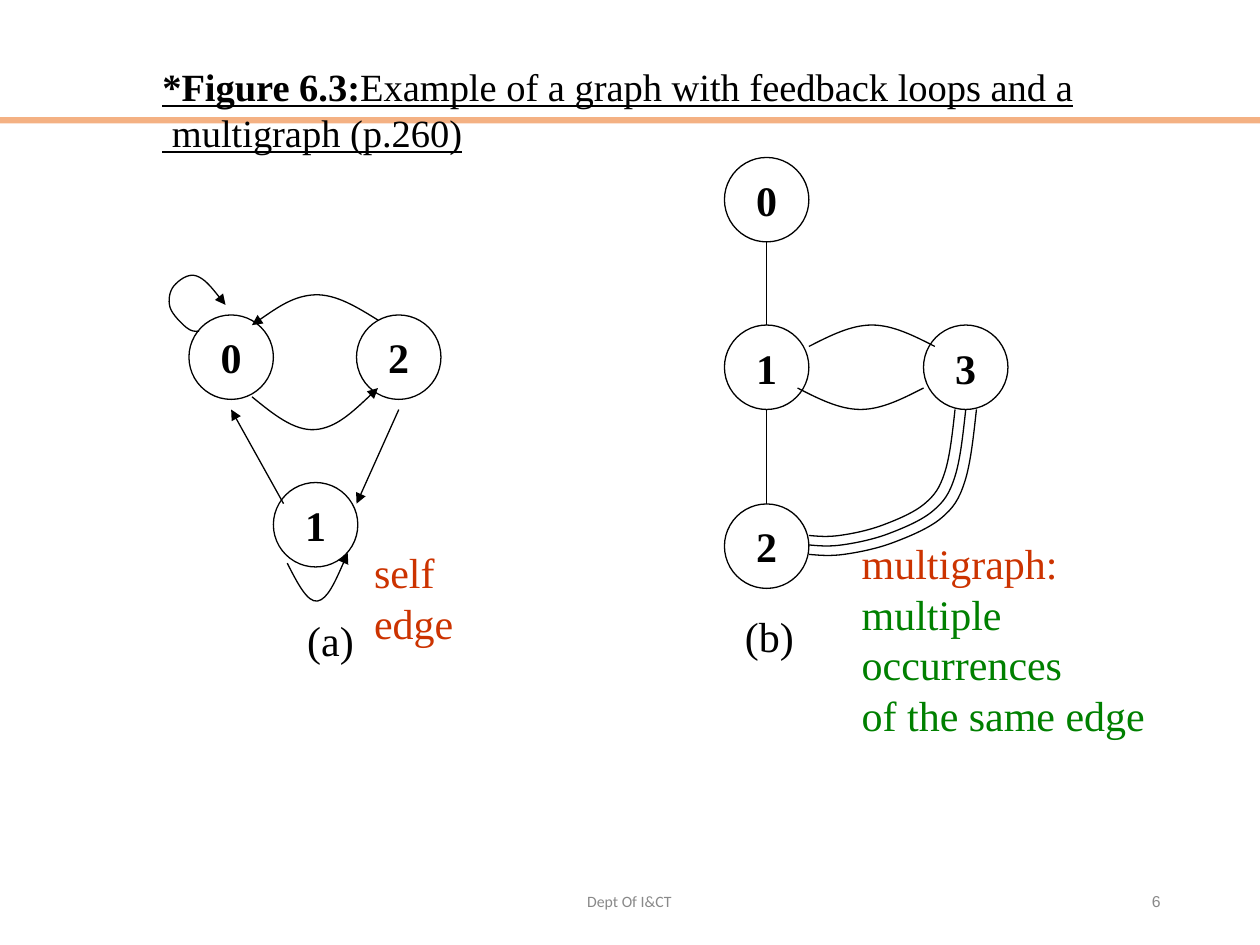
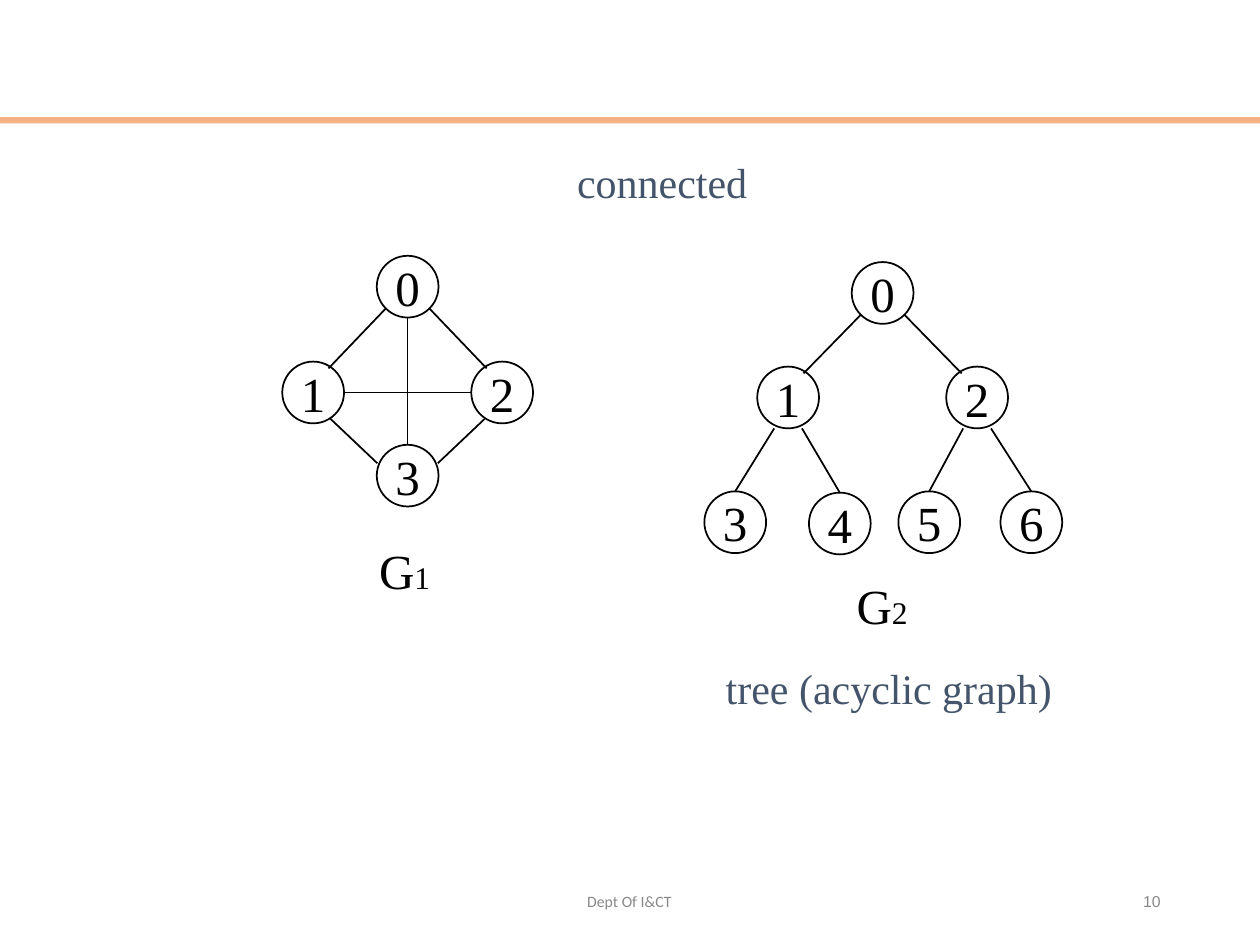
from lxml.etree import SubElement
from pptx import Presentation
from pptx.dml.color import RGBColor
from pptx.enum.shapes import MSO_CONNECTOR as CONN, MSO_SHAPE as SHAPE
from pptx.enum.text import MSO_ANCHOR as ANCHOR, MSO_AUTO_SIZE as AUTO, PP_ALIGN as ALIGN
from pptx.oxml.ns import qn
from pptx.util import Inches, Pt

BLACK = RGBColor(0x00, 0x00, 0x00)
WHITE = RGBColor(0xFF, 0xFF, 0xFF)
BAND = RGBColor(0xF4, 0xB1, 0x83)
GREY = RGBColor(0x89, 0x89, 0x89)
RED = RGBColor(0xCC, 0x33, 0x00)
GREEN = RGBColor(0x00, 0x80, 0x00)
SLATE = RGBColor(0x44, 0x54, 0x6A)
SERIF = "Times New Roman"
FOOTER = "Dept Of I&CT"

# EDGE_ENDS
EDGE_ENDS = {
    "down": ((0, 1), (0, -1)),
    "across": ((1, 0), (-1, 0)),
    "spread": ((0.7, 0.7), (-0.5, -0.78)),
    "closing": ((0.57, 0.86), (-0.98, -0.4)),
    "leaf": ((0.45, 1), (0, -1)),
    "arrow up": ((0.76, -0.5), (0, 1.24)),
    "arrow down": ((0, 1.24), (-0.97, -0.5)),
}
BEND = [(1, 0), (0.93, 0.5), (0.79, 0.75), (0.5, 0.92), (0.21, 1), (0, 1)]
TRIPLE_EDGE = [
    [(6.42 + x * (1.16 + 0.085 * k), 3.25 + y * (1 + 0.075 * k)) for x, y in BEND]
    for k in range(3)
]

MULTIGRAPH = {
    "number": 6,
    "node": {"size": 0.67, "pt": 24, "bold": True, "fill": None, "line": 0.75},
    "graphs": [
        ({"0": (1.5, 2.5), "2": (2.83, 2.5), "1": (2.17, 3.83)},
         {"arrow up": ["10"], "arrow down": ["21"]}),
        ({"2": (5.75, 4), "1": (5.75, 2.58), "0": (5.75, 1.25), "3": (7.33, 2.58)},
         {"down": ["01", "12"]}),
    ],
    "curved_arrows": [
        [(1.58, 2.63), (1.48, 2.6), (1.35, 2.44), (1.38, 2.27), (1.56, 2.19), (1.79, 2.42)],
        [(3, 2.54), (2.5, 2.34), (2, 2.58)],
        [(2, 3.15), (2.5, 3.41), (3, 3.08)],
        [(2.28, 4.47), (2.52, 4.77), (2.76, 4.39)],
    ],
    "curves": [
        [(6.42, 2.75), (6.92, 2.58), (7.42, 2.75)],
        [(7.33, 3.08), (6.83, 3.25), (6.33, 3.08)],
        *TRIPLE_EDGE,
    ],
    "labels": [
        {"at": (2.34, 4.83, 0.57, 0.5), "lines": [[("(a)", {})]]},
        {"at": (5.73, 4.8, 0.67, 0.5), "lines": [[(" (b)", {})]]},
        {"at": (1.19, 0.45, 7.43, 0.84), "lines": [
            [("*Figure 6.3:", {"size": 22, "bold": True, "underline": True}),
             ("Example of a graph with feedback loops and a", {"size": 22, "underline": True})],
            [(" multigraph (p.260)", {"size": 22, "underline": True})]]},
        {"at": (2.87, 4.49, 1.39, 0.5), "anchor": ANCHOR.MIDDLE,
         "lines": [[("self edge", {"color": RED})]]},
        {"at": (6.74, 4.42, 2.98, 1.3), "anchor": ANCHOR.MIDDLE, "lines": [
            [("multigraph:", {"color": RED})],
            [("multiple occurrences", {"color": GREEN})],
            [("of the same edge", {"color": GREEN})]]},
    ],
}

CONNECTED = {
    "number": 10,
    "node": {"size": 0.49, "pt": 28, "bold": False, "fill": WHITE, "line": 1},
    "graphs": [
        ({"0": (2.99, 2.03), "1": (2.24, 2.87), "2": (3.74, 2.87), "3": (2.99, 3.53)},
         {"down": ["03"], "across": ["12"], "spread": ["01", "02"], "closing": ["13", "23"]}),
        ({"0": (6.76, 2.08), "1": (6.01, 2.91), "2": (7.51, 2.91), "3": (5.59, 3.9),
          "4": (6.42, 3.91), "5": (7.13, 3.9), "6": (7.94, 3.9)},
         {"spread": ["01", "02"], "leaf": ["13", "14", "25", "26"]}),
    ],
    "curved_arrows": [],
    "curves": [],
    "labels": [
        {"at": (2.91, 4.24, 0.61, 0.57),
         "lines": [[("G", {"size": 28}), ("1", {"size": 18})]]},
        {"at": (6.7, 4.52, 0.61, 0.57),
         "lines": [[("G", {"size": 28}), ("2", {"size": 18})]]},
        {"at": (4.48, 1.19, 1.55, 0.5), "anchor": ANCHOR.MIDDLE, "align": ALIGN.CENTER,
         "lines": [[("connected", {"color": SLATE})]]},
        {"at": (5.66, 5.21, 2.79, 0.5), "anchor": ANCHOR.MIDDLE, "align": ALIGN.CENTER,
         "lines": [[("tree (acyclic graph)", {"color": SLATE})]]},
    ],
}


def inches(values):
    return [Inches(v) for v in values]


def style(r, size=24, color=BLACK, font=SERIF, bold=False, underline=False):
    r.font.size = Pt(size)
    r.font.color.rgb = color
    r.font.name = font
    r.font.bold = bold
    r.font.underline = underline


def add_label(slide, at, lines, anchor=ANCHOR.TOP, align=ALIGN.LEFT, wrap=False):
    tf = slide.shapes.add_textbox(*inches(at)).text_frame
    tf.word_wrap = wrap
    tf.auto_size = AUTO.NONE if wrap else AUTO.SHAPE_TO_FIT_TEXT
    tf.vertical_anchor = anchor
    for i, runs in enumerate(lines):
        p = tf.paragraphs[0] if i == 0 else tf.add_paragraph()
        p.alignment = align
        for text, look in runs:
            r = p.add_run()
            r.text = text
            style(r, **look)


def add_frame(slide, number):
    band = slide.shapes.add_shape(SHAPE.RECTANGLE, *inches((0, 0.93, 10, 0.05)))
    band.shadow.inherit = False
    band.fill.solid()
    band.fill.fore_color.rgb = BAND
    band.line.fill.background()
    for at, text, font, align in [
        ((3.31, 6.95, 3.37, 0.4), FOOTER, "Calibri", ALIGN.CENTER),
        ((7.06, 6.95, 2.25, 0.4), str(number), "Arial", ALIGN.RIGHT),
    ]:
        look = {"size": 9, "color": GREY, "font": font}
        add_label(slide, at, [[(text, look)]], ANCHOR.MIDDLE, align, wrap=True)


def set_line(sp, width, arrow=False):
    sp.line.color.rgb = BLACK
    sp.line.width = Pt(width)
    if arrow:
        ln = sp._element.spPr.find(qn("a:ln"))
        SubElement(ln, qn("a:tailEnd"), type="triangle")


def add_node(slide, text, x, y, size, pt, bold, fill, line):
    sp = slide.shapes.add_shape(SHAPE.OVAL, *inches((x, y, size, size)))
    sp.shadow.inherit = False
    if fill is None:
        sp.fill.background()
    else:
        sp.fill.solid()
        sp.fill.fore_color.rgb = fill
    set_line(sp, line)
    tf = sp.text_frame
    tf.word_wrap = False
    tf.vertical_anchor = ANCHOR.MIDDLE
    p = tf.paragraphs[0]
    p.text = text
    p.alignment = ALIGN.CENTER
    style(p.runs[0], size=pt, bold=bold)


def add_edge(slide, start, end, kind, node):
    radius = node["size"] / 2
    side = -1 if end[0] < start[0] else 1
    ends = []
    for (x, y), (dx, dy) in zip((start, end), EDGE_ENDS[kind]):
        ends += [x + radius * (1 + side * dx), y + radius * (1 + dy)]
    cxn = slide.shapes.add_connector(CONN.STRAIGHT, *inches(ends))
    set_line(cxn, node["line"], kind.startswith("arrow"))
    SubElement(cxn._element.spPr, qn("a:effectLst"))


def midpoint(a, b):
    return tuple((u + v) / 2 for u, v in zip(a, b))


def smooth_segments(points):
    last = len(points) - 1

    def handle(i, sign):
        return tuple(p + sign * (after - before) / 6 for before, p, after
                     in zip(points[i - 1], points[i], points[i + 1]))

    for i in range(last):
        leave = handle(i, 1) if i > 0 else None
        arrive = handle(i + 1, -1) if i + 1 < last else midpoint(leave, points[last])
        yield from (leave or midpoint(points[0], arrive), arrive, points[i + 1])


def add_curve(slide, points, width, arrow):
    fb = slide.shapes.build_freeform(*inches(points[0]))
    fb.add_line_segments([inches(pt) for pt in smooth_segments(points)], close=False)
    sp = fb.convert_to_shape()
    sp.shadow.inherit = False
    sp.fill.background()
    set_line(sp, width, arrow)
    outline = next(sp._element.iter(qn("a:path")))
    steps = outline.findall(qn("a:lnTo"))
    for i in range(0, len(steps), 3):
        bezier = SubElement(outline, qn("a:cubicBezTo"))
        for step in steps[i:i + 3]:
            bezier.append(step[0])
            outline.remove(step)


def build_slide(prs, content):
    slide = prs.slides.add_slide(prs.slide_layouts[6])
    add_frame(slide, content["number"])
    node = content["node"]
    for nodes, edges in content["graphs"]:
        for text, (x, y) in nodes.items():
            add_node(slide, text, x, y, **node)
        for kind, pairs in edges.items():
            for a, b in pairs:
                add_edge(slide, nodes[a], nodes[b], kind, node)
    for key, arrow in (("curves", False), ("curved_arrows", True)):
        for points in content[key]:
            add_curve(slide, points, node["line"], arrow)
    for label in content["labels"]:
        add_label(slide, **label)


def main():
    prs = Presentation()
    prs.slide_width, prs.slide_height = Inches(10), Inches(7.5)
    for content in (MULTIGRAPH, CONNECTED):
        build_slide(prs, content)
    prs.save("out.pptx")


if __name__ == "__main__":
    main()
